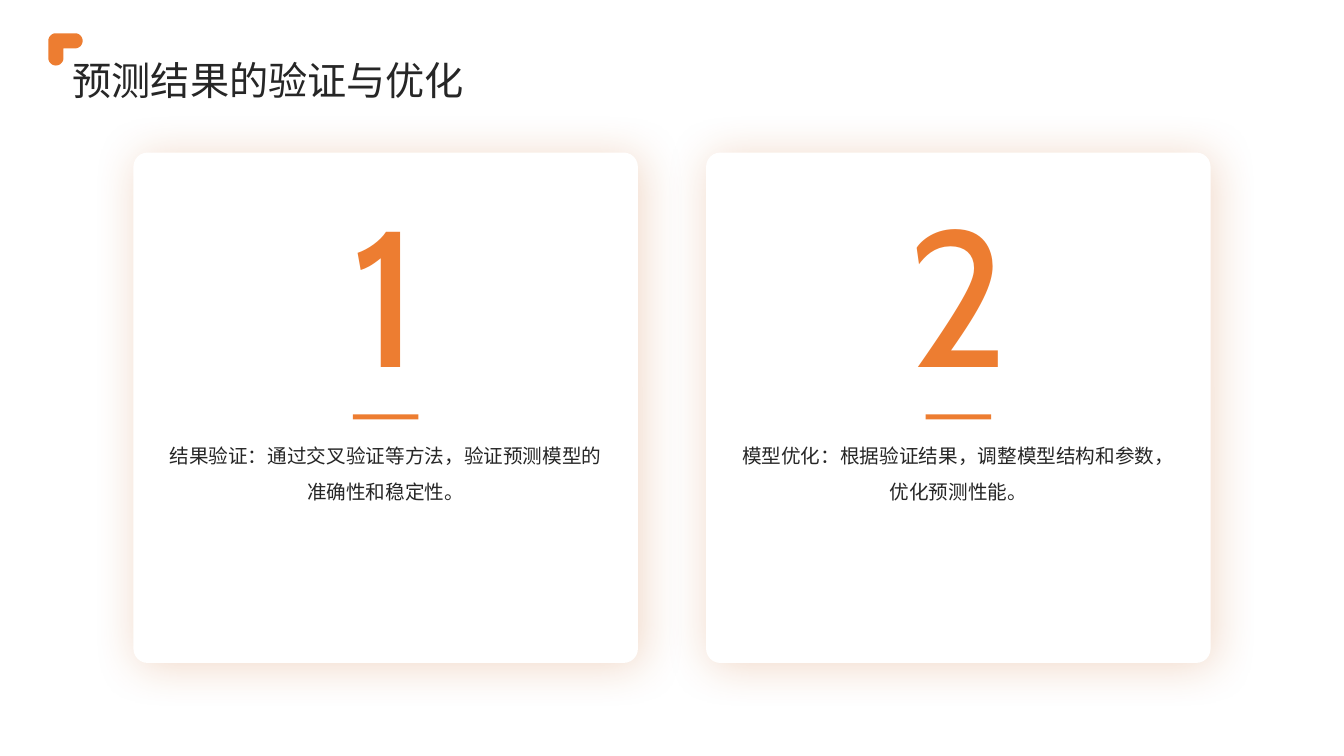
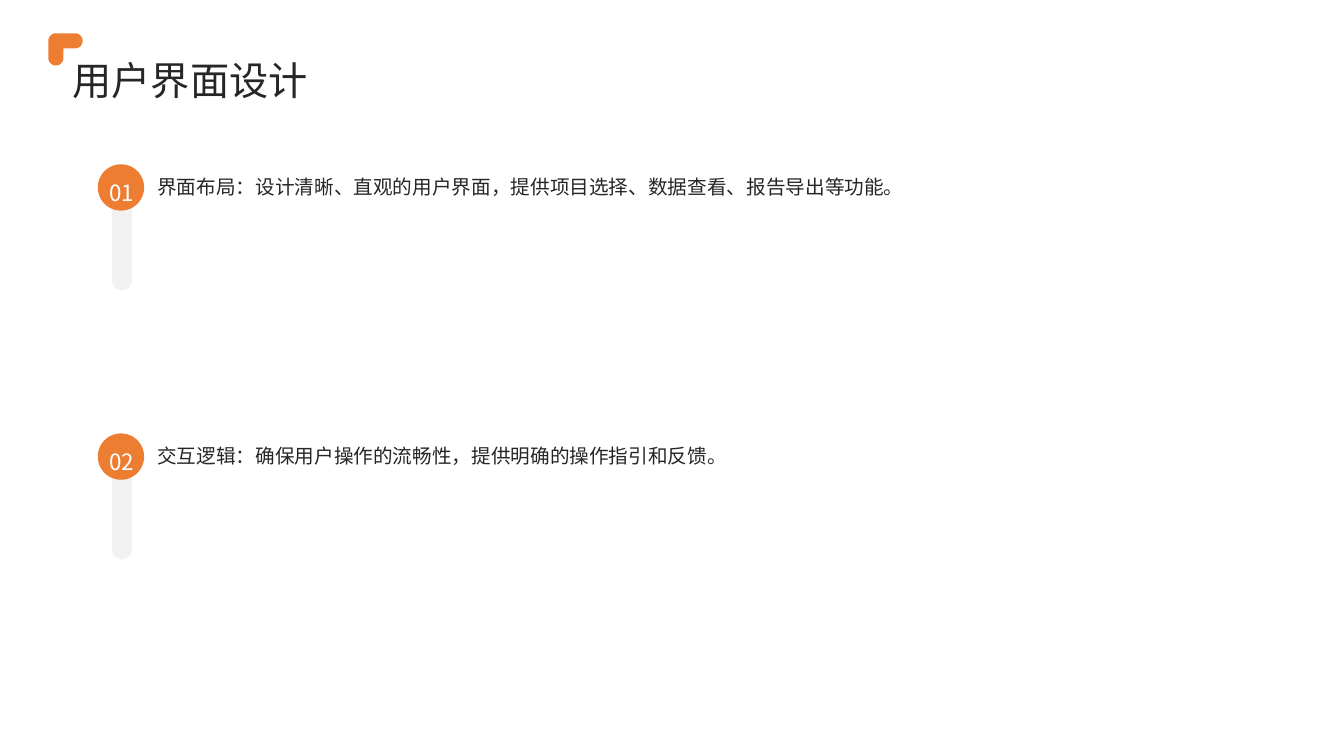
import math

import lxml.etree
import pptx
import pptx.dml.color
import pptx.enum.shapes
import pptx.enum.text
import pptx.oxml.ns
import pptx.util

Inches = pptx.util.Inches
Pt = pptx.util.Pt
SHAPE = pptx.enum.shapes.MSO_SHAPE
ALIGN = pptx.enum.text.PP_ALIGN
ANCHOR = pptx.enum.text.MSO_ANCHOR
qn = pptx.oxml.ns.qn

COLORS = {
    "accent": "ED7D31",
    "ink": "262626",
    "paper": "FFFFFF",
    "track": "F2F2F2",
    "shadow": "C55A11",
}
BODY_FONT = "Noto Sans CJK SC"
NUMERAL_FONT = "Cabin"
CARD_LEFT, CARD_PITCH = 1.33, 5.68
ITEM_TOP, ITEM_PITCH = 1.63, 2.67

CARDS = [
    "结果验证：通过交叉验证等方法，验证预测模型的准确性和稳定性。",
    "模型优化：根据验证结果，调整模型结构和参数，优化预测性能。",
]
ITEMS = [
    "界面布局：设计清晰、直观的用户界面，提供项目选择、数据查看、报告导出等功能。",
    "交互逻辑：确保用户操作的流畅性，提供明确的操作指引和反馈。",
]


def rgb(color):
    return pptx.dml.color.RGBColor.from_string(COLORS[color])


def paint(shape, color):
    shape.shadow.inherit = False
    shape.fill.solid()
    shape.fill.fore_color.rgb = rgb(color)
    shape.line.fill.background()


def add_block(slide, kind, left, top, width, height, color, rounding=None):
    block = slide.shapes.add_shape(
        kind, Inches(left), Inches(top), Inches(width), Inches(height))
    paint(block, color)
    if rounding is not None:
        block.adjustments[0] = rounding
    return block


def add_label(slide, text, left, top, width, height, size, color="ink",
              font=BODY_FONT, align=ALIGN.LEFT, anchor=ANCHOR.TOP, spacing=1.5):
    frame = slide.shapes.add_textbox(
        Inches(left), Inches(top), Inches(width), Inches(height)).text_frame
    frame.word_wrap = True
    frame.margin_left = frame.margin_right = 0
    frame.margin_top = frame.margin_bottom = 0
    frame.vertical_anchor = anchor
    frame.text = text
    paragraph = frame.paragraphs[0]
    paragraph.alignment = align
    paragraph.line_spacing = spacing
    run = paragraph.runs[0]
    run.font.size = Pt(size)
    run.font.color.rgb = rgb(color)
    run.font.name = font
    east_asian = lxml.etree.SubElement(run.font._element, qn("a:ea"))
    east_asian.set("typeface", font)


def add_glow(shape):
    effects = shape._element.spPr.find(qn("a:effectLst"))
    shadow = lxml.etree.SubElement(
        effects, qn("a:outerShdw"), blurRad=str(Pt(33)), dist=str(Pt(3)),
        dir="2700000", algn="ctr", rotWithShape="0")
    tint = lxml.etree.SubElement(shadow, qn("a:srgbClr"), val=COLORS["shadow"])
    lxml.etree.SubElement(tint, qn("a:alpha"), val="24000")


def arc(center_x, center_y, radius, start, end):
    return [(center_x + radius * math.cos(math.radians(angle)),
             center_y + radius * math.sin(math.radians(angle)))
            for angle in range(start, end + 1, 10)]


def add_corner_mark(slide):
    left, top, right, bottom = map(Inches, (0.48, 0.33, 0.82, 0.65))
    thickness = Inches(0.15)
    radius = thickness / 2
    outline = arc(right - radius, top + radius, radius, -90, 90)
    outline.append((left + thickness, top + thickness))
    outline += arc(left + radius, bottom - radius, radius, 0, 180)
    outline += arc(left + radius, top + radius, radius, 180, 270)
    builder = slide.shapes.build_freeform(*outline[0])
    builder.add_line_segments(outline[1:], close=True)
    paint(builder.convert_to_shape(), "accent")


def add_titled_slide(deck, title):
    slide = deck.slides.add_slide(deck.slide_layouts[6])
    add_label(slide, title, 0.72, 0.51, 11.67, 0.51, 28,
              anchor=ANCHOR.MIDDLE, spacing=1.1)
    add_corner_mark(slide)
    return slide


def add_card(slide, index, text):
    left = CARD_LEFT + index * CARD_PITCH
    card = add_block(slide, SHAPE.ROUNDED_RECTANGLE, left, 1.52, 4.99, 5.05,
                     "paper", 0.027)
    card.line.color.rgb = rgb("paper")
    card.line.width = Pt(1)
    add_glow(card)
    add_label(slide, str(index + 1), left + 0.27, 1.48, 4.45, 2.79, 138,
              "accent", NUMERAL_FONT, ALIGN.CENTER, ANCHOR.MIDDLE, 1.0)
    add_block(slide, SHAPE.RECTANGLE, left + 2.17, 4.11, 0.65, 0.05, "accent")
    add_label(slide, text, left + 0.27, 4.29, 4.45, 2.09, 14,
              align=ALIGN.CENTER)


def add_item(slide, index, text):
    top = ITEM_TOP + index * ITEM_PITCH
    add_block(slide, SHAPE.ROUNDED_RECTANGLE, 1.11, top + 0.02, 0.2, 1.23,
              "track", 0.5)
    add_block(slide, SHAPE.OVAL, 0.97, top, 0.46, 0.46, "accent")
    add_label(slide, text, 1.56, top - 0.01, 10.79, 2.17, 14)
    add_label(slide, f"{index + 1:02d}", 1.05, top + 0.01, 0.32, 0.4, 16,
              "paper", align=ALIGN.CENTER, anchor=ANCHOR.MIDDLE)


def main():
    deck = pptx.Presentation()
    deck.slide_width = Inches(13.33)
    deck.slide_height = Inches(7.5)

    validation = add_titled_slide(deck, "预测结果的验证与优化")
    for index, text in enumerate(CARDS):
        add_card(validation, index, text)

    interface = add_titled_slide(deck, "用户界面设计")
    for index, text in enumerate(ITEMS):
        add_item(interface, index, text)

    deck.save("out.pptx")


if __name__ == "__main__":
    main()
